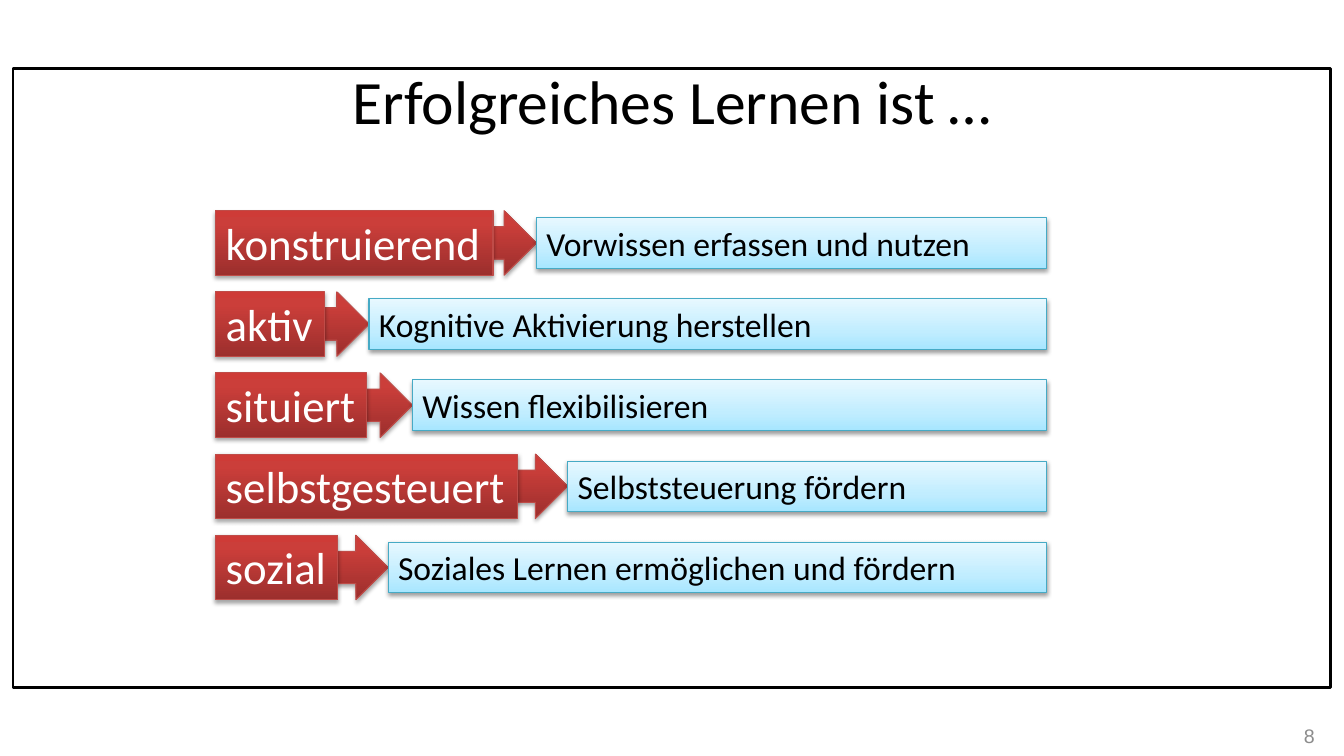
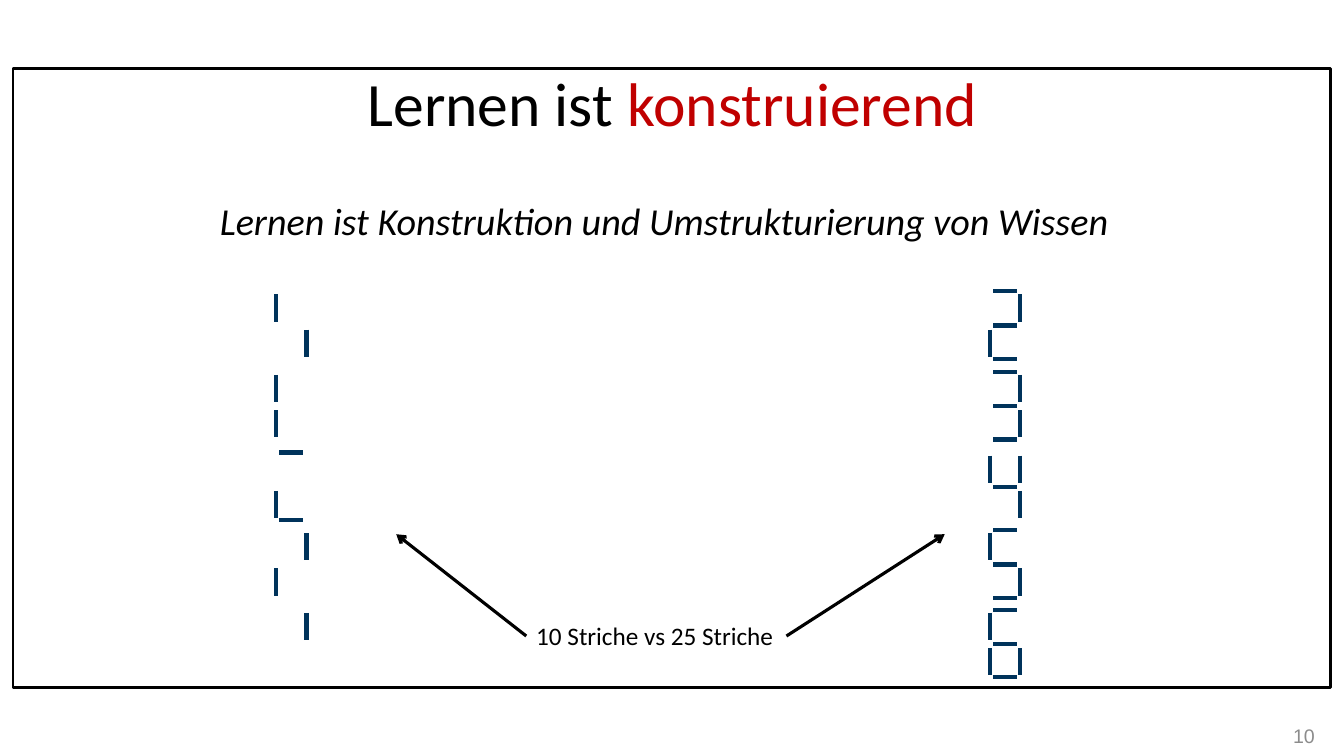
from copy import deepcopy
from dataclasses import dataclass

from lxml.etree import SubElement
from pptx import Presentation
from pptx.dml.color import RGBColor
from pptx.enum.shapes import MSO_CONNECTOR, MSO_SHAPE
from pptx.enum.text import MSO_ANCHOR, MSO_AUTO_SIZE, PP_ALIGN
from pptx.oxml.ns import qn
from pptx.util import Inches, Pt


@dataclass(frozen=True)
class Look:
    """Gradient, border and shadow of a raised box."""
    stops: tuple
    line: str
    alpha: int
    drop: float


@dataclass(frozen=True)
class Theme:
    font: str = "Calibri"
    plain: str = "Arial"
    black: str = "000000"
    white: str = "FFFFFF"
    grey: str = "8C8C8C"
    accent: str = "C00000"
    stroke: str = "00335B"
    title: float = 44
    label: float = 32
    lead: float = 27.2
    info: float = 24
    note: float = 18
    page: float = 14
    red: Look = Look(((0, "9C2F2D"), (0.8, "CB3E3A"), (1, "CE3B37")),
                     "BF4C48", 35, 1.8)
    blue: Look = Look(((0, "A7E6FF"), (0.35, "C1EDFF"), (1, "E7F8FF")),
                      "46AAC5", 38, 1.6)


THEME = Theme()

# Seven-segment strokes: x1, y1, x2, y2 from the digit's top left corner
STROKES = {
    "a": (0.03, 0, 0.27, 0),
    "b": (0.3, 0.03, 0.3, 0.3),
    "c": (0.3, 0.38, 0.3, 0.65),
    "d": (0.03, 0.67, 0.27, 0.67),
    "e": (0, 0.38, 0, 0.65),
    "f": (0, 0.03, 0, 0.3),
    "g": (0.03, 0.34, 0.27, 0.34),
}
DIGITS = ("abged", "abgcd", "fbgc", "afgcd", "afgecd")  # 2 to 6
TOPS = (2.89, 3.69, 4.49, 5.26, 6.05)

# Label, label width, arrow left, info left, info
ROWS = (
    ("konstruierend", 2.75, 4.23, 5.32, "Vorwissen erfassen und nutzen"),
    ("aktiv", 1.08, 2.57, 3.66, "Kognitive Aktivierung herstellen"),
    ("situiert", 1.5, 3.1, 4.09, "Wissen flexibilisieren"),
    ("selbstgesteuert", 2.99, 4.63, 5.63, "Selbststeuerung fördern"),
    ("sozial", 1.21, 2.86, 3.85, "Soziales Lernen ermöglichen und fördern"),
)


def color(code):
    return RGBColor.from_string(code)


def place(shape, box):
    shape.left, shape.top, shape.width, shape.height = map(Inches, box)


def style(run, size, code=THEME.black, name=THEME.font):
    run.font.name = name
    run.font.size = Pt(size)
    run.font.color.rgb = color(code)


def write(shape, text, size, code=THEME.black, name=THEME.font,
          align=PP_ALIGN.LEFT, anchor=MSO_ANCHOR.TOP, wrap=True,
          fit=MSO_AUTO_SIZE.NONE):
    frame = shape.text_frame
    frame.text = text
    frame.word_wrap = wrap
    frame.auto_size = fit
    frame.vertical_anchor = anchor
    para = frame.paragraphs[0]
    para.alignment = align
    style(para.runs[0], size, code, name)
    return para


def raised(slide, kind, box, look):
    shape = slide.shapes.add_shape(kind, *map(Inches, box))
    shape.fill.gradient()
    shape.fill.gradient_angle = 90
    props = shape._element.spPr
    stops = props.find(".//" + qn("a:gsLst"))
    stops.insert(1, deepcopy(stops[0]))
    for stop, (pos, code) in zip(shape.fill.gradient_stops, look.stops):
        stop.position = pos
        stop.color.rgb = color(code)
    shape.line.color.rgb = color(look.line)
    shape.line.width = Pt(0.75)
    shape.shadow.inherit = False
    shade = SubElement(props.find(qn("a:effectLst")), qn("a:outerShdw"),
                       blurRad=str(Pt(3.1)), dist=str(Pt(look.drop)),
                       dir="5400000", rotWithShape="0")
    tone = SubElement(shade, qn("a:srgbClr"), val=THEME.black)
    SubElement(tone, qn("a:alpha"), val=str(look.alpha * 1000))
    return shape


def line(slide, ends, code, width, arrow=False):
    link = slide.shapes.add_connector(MSO_CONNECTOR.STRAIGHT,
                                      *map(Inches, ends))
    link.line.color.rgb = color(code)
    link.line.width = Pt(width)
    props = link._element.spPr
    if arrow:
        SubElement(props.find(qn("a:ln")), qn("a:tailEnd"), type="arrow")
    SubElement(props, qn("a:effectLst"))
    return link


def base(deck, layout, title, top, page):
    """Add a slide with title, frame and page number; return it and its title."""
    slide = deck.slides.add_slide(deck.slide_layouts.get_by_name(layout))
    head = slide.shapes.title
    place(head, (0.67, top, 12, 1.25))
    para = write(head, title, THEME.title, align=PP_ALIGN.CENTER,
                 anchor=MSO_ANCHOR.MIDDLE)
    border = slide.shapes.add_shape(
        MSO_SHAPE.RECTANGLE, *map(Inches, (0.13, 0.68, 13.07, 6.14)))
    border.fill.background()
    border.line.color.rgb = color(THEME.black)
    border.line.width = Pt(2)
    border.shadow.inherit = False
    foot = slide.shapes.add_textbox(*map(Inches, (10.03, 7.1, 3.11, 0.4)))
    write(foot, page, THEME.page, THEME.grey, THEME.plain,
          PP_ALIGN.RIGHT, MSO_ANCHOR.MIDDLE)
    return slide, para


def trait(slide, left, top, right, row):
    """Draw a label whose arrow points to an info box."""
    label, width, start, tip, info = row
    high = 0.64
    raised(slide, MSO_SHAPE.RIGHT_ARROW, (start, top, tip - start, high),
           THEME.red)
    tag = raised(slide, MSO_SHAPE.RECTANGLE, (left, top, width, high),
                 THEME.red)
    write(tag, label, THEME.label, THEME.white, wrap=False,
          fit=MSO_AUTO_SIZE.SHAPE_TO_FIT_TEXT)
    box = raised(slide, MSO_SHAPE.RECTANGLE,
                 (tip, top + 0.07, right - tip, 0.5), THEME.blue)
    write(box, info, THEME.info, fit=MSO_AUTO_SIZE.SHAPE_TO_FIT_TEXT)


def traits(deck):
    slide, _ = base(deck, "Title Only", "Erfolgreiches Lernen ist …", 0.37, "8")
    first, last = 2.09, 5.31
    pitch = (last - first) / (len(ROWS) - 1)
    for i, row in enumerate(ROWS):
        trait(slide, 2.14, first + i * pitch, 10.38, row)


def digit(slide, left, top, keys):
    for key in keys:
        x1, y1, x2, y2 = STROKES[key]
        line(slide, (left + x1, top + y1, left + x2, top + y2),
             THEME.stroke, 3)


def puzzle(deck):
    """Digits on the right, their missing strokes on the left."""
    slide, para = base(deck, "Title and Content", "Lernen ist ", 0.39, "10")
    run = para.add_run()
    run.text = "konstruierend"
    style(run, THEME.title, THEME.accent)

    body = slide.placeholders[1]
    place(body, (2.08, 1.91, 9.17, 0.58))
    lead = write(body, "Lernen ist Konstruktion und Umstrukturierung von Wissen",
                 THEME.lead)
    props = lead._p.get_or_add_pPr()
    props.set("marL", "0")
    props.set("indent", "0")
    SubElement(props, qn("a:buNone"))
    lead.space_before = Pt(0)
    lead.runs[0].font.italic = True

    for top, keys in zip(TOPS, DIGITS):
        digit(slide, 2.74, top, [k for k in STROKES if k not in keys])
        digit(slide, 9.82, top, keys)

    note = slide.shapes.add_textbox(*map(Inches, (5.22, 6.11, 2.58, 0.4)))
    write(note, "10 Striche vs 25 Striche", THEME.note, wrap=False,
          fit=MSO_AUTO_SIZE.SHAPE_TO_FIT_TEXT)
    for side, start, end in ((1, 5.22, 3.93), (3, 7.8, 9.37)):
        link = line(slide, (start, 6.31, end, 5.3), THEME.black, 2.25, True)
        link.begin_connect(note, side)


def main():
    deck = Presentation()
    deck.slide_width, deck.slide_height = Inches(13.33), Inches(7.5)
    traits(deck)
    puzzle(deck)
    deck.save("out.pptx")


if __name__ == "__main__":
    main()
